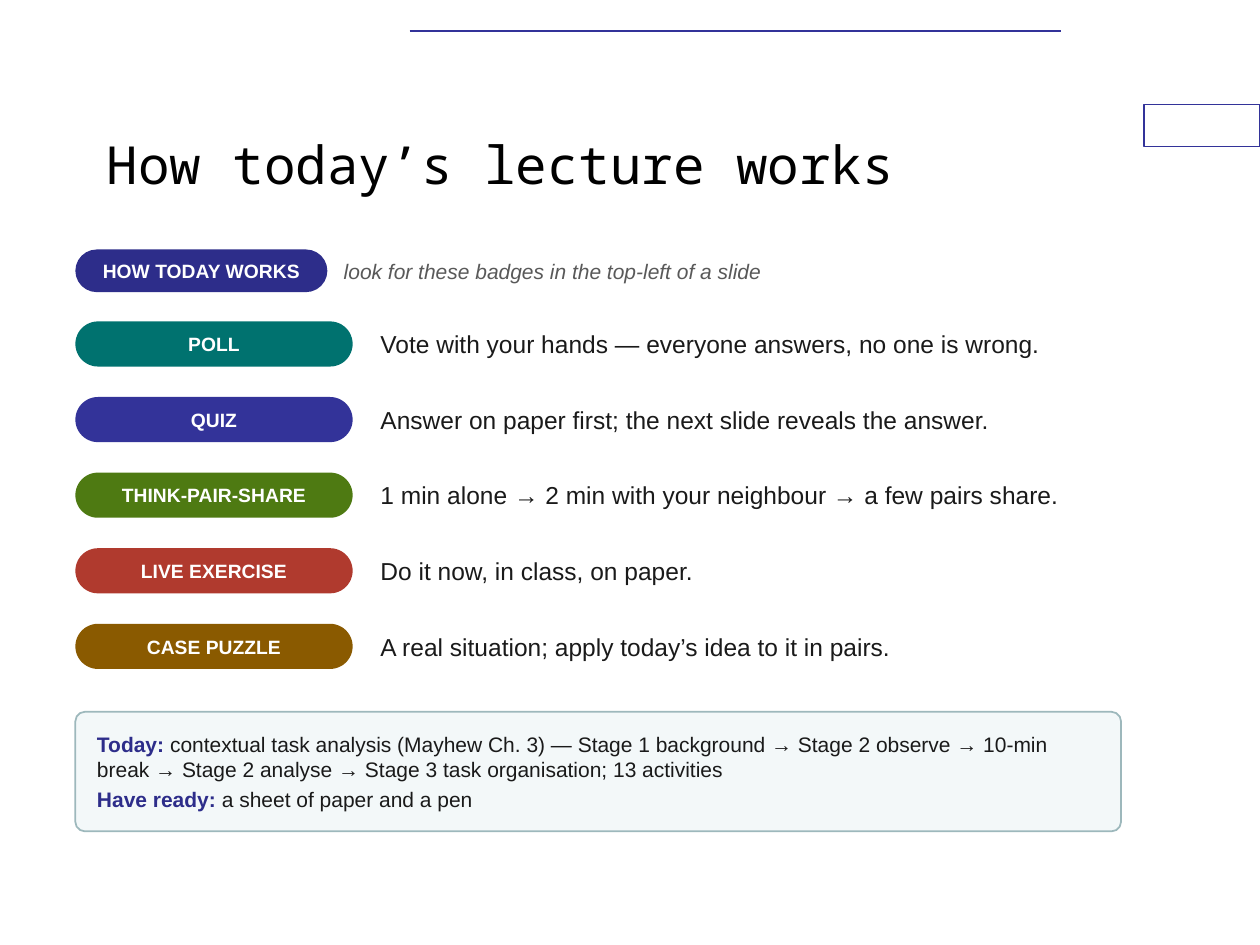
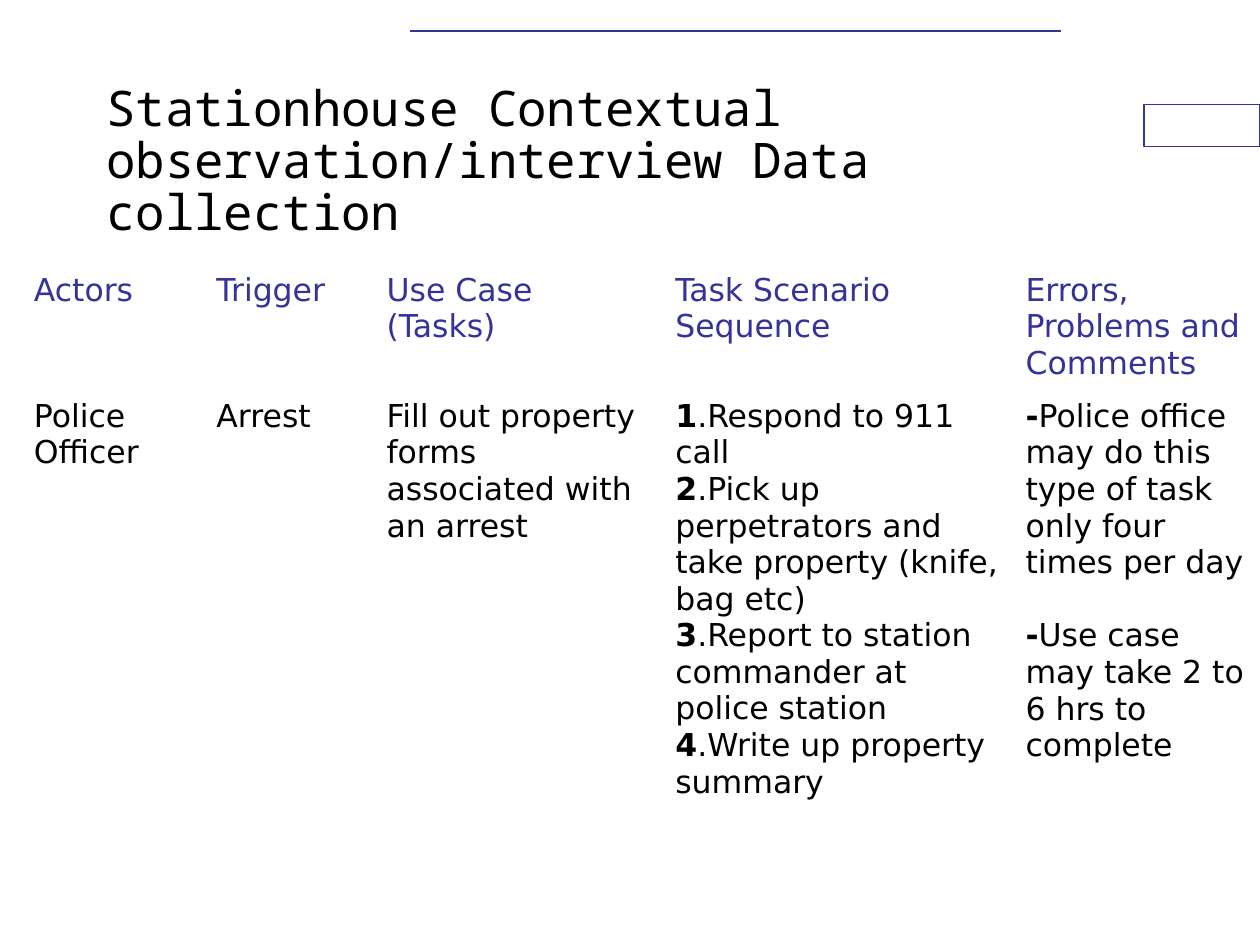
from lxml import etree
from pptx import Presentation
from pptx.dml.color import RGBColor
from pptx.enum import shapes, text
from pptx.oxml import ns
from pptx.util import Cm, Pt

WHITE = RGBColor(0xFF, 0xFF, 0xFF)
BLACK = RGBColor(0x00, 0x00, 0x00)
BLUE = RGBColor(0x33, 0x33, 0x99)
NAVY = RGBColor(0x2D, 0x2D, 0x8A)
TEAL = RGBColor(0x00, 0x72, 0x6F)
GREEN = RGBColor(0x4E, 0x7A, 0x12)
RED = RGBColor(0xB0, 0x3A, 0x2E)
BROWN = RGBColor(0x8A, 0x5A, 0x00)
GREY = RGBColor(0x59, 0x59, 0x59)
INK = RGBColor(0x1A, 0x1A, 0x1A)
PANEL = RGBColor(0xF3, 0xF8, 0xF9)
PANEL_EDGE = RGBColor(0x9D, 0xB8, 0xBC)

SANS, MONO, TABLE_FONT = "Arial", "Noto Sans Mono", "DejaVu Sans"

ACTIVITIES = [
    ("POLL", TEAL, "Vote with your hands — everyone answers, no one is wrong."),
    ("QUIZ", BLUE, "Answer on paper first; the next slide reveals the answer."),
    ("THINK-PAIR-SHARE", GREEN,
     "1 min alone → 2 min with your neighbour → a few pairs share."),
    ("LIVE EXERCISE", RED, "Do it now, in class, on paper."),
    ("CASE PUZZLE", BROWN, "A real situation; apply today’s idea to it in pairs."),
]

AGENDA = [
    ("Today: ", "contextual task analysis (Mayhew Ch. 3) — Stage 1 background → "
     "Stage 2 observe → 10-min break → Stage 2 analyse → "
     "Stage 3 task organisation; 13 activities"),
    ("Have ready: ", "a sheet of paper and a pen"),
]

HEADERS = ["Actors", "Trigger", "Use Case (Tasks)", "Task Scenario Sequence",
           "Errors, Problems and Comments"]
OBSERVATION = [
    [("", "Police Officer")],
    [("", "Arrest")],
    [("", "Fill out property forms associated with an arrest")],
    [("1", ".Respond to 911 call"),
     ("2", ".Pick up perpetrators and take property (knife, bag etc)"),
     ("3", ".Report to station commander at police station"),
     ("4", ".Write up property summary")],
    [("-", "Police office may do this type of task only four times per day"),
     ("-", "Use case may take 2 to 6 hrs to complete")],
]


def write(tf, paras, size=12, font=SANS, color=INK, lead=None, bold=False,
          italic=False, align=None, before=0, spacing=None):
    """Write a string, or a list of (bold lead, body) paragraphs, in one format."""
    if isinstance(paras, str):
        paras = [("", paras)]
    for i, parts in enumerate(paras):
        p = tf.add_paragraph() if i else tf.paragraphs[0]
        p.alignment, p.line_spacing = align, spacing
        if i:
            p.space_before = Pt(before)
        for part, is_lead in zip(parts, (True, False)):
            if part:
                r = p.add_run()
                r.text = part
                r.font.size, r.font.name = Pt(size), font
                r.font.bold, r.font.italic = bold or is_lead, italic
                r.font.color.rgb = lead if is_lead and lead else color


def frame(sp, inset):
    """Wrap and vertically centre the text of a shape, with equal insets."""
    tf = sp.text_frame
    tf.word_wrap = True
    tf.vertical_anchor = text.MSO_ANCHOR.MIDDLE
    tf.margin_left = tf.margin_right = tf.margin_top = tf.margin_bottom = Cm(inset)
    return tf


def add_text(s, box, content, inset=0.05, **fmt):
    """Add a text box."""
    sp = s.shapes.add_textbox(*map(Cm, box))
    write(frame(sp, inset), content, **fmt)


def add_box(s, box, fill, line=None, width=1, radius=None):
    """Add a filled rectangle, rounded when a radius is given."""
    kind = shapes.MSO_SHAPE.RECTANGLE if radius is None else shapes.MSO_SHAPE.ROUNDED_RECTANGLE
    sp = s.shapes.add_shape(kind, *map(Cm, box))
    sp.shadow.inherit = False
    if radius is not None:
        sp.adjustments[0] = radius
    sp.fill.solid()
    sp.fill.fore_color.rgb = fill
    if line is None:
        sp.line.fill.background()
    else:
        sp.line.color.rgb = line
        sp.line.width = Pt(width)
    return sp


def add_badge(s, box, label, fill):
    """Add a pill-shaped badge."""
    sp = add_box(s, box, fill, radius=0.5)
    write(frame(sp, 0.08), label, size=11, color=WHITE, bold=True,
          align=text.PP_ALIGN.CENTER)


def add_base(prs, title, size, spacing=None):
    """Add a slide with the shared rule, side tab and title."""
    s = prs.slides.add_slide(prs.slide_layouts[6])
    add_box(s, (23.06, 2.11, 2.34, 0.85), WHITE, BLUE, 0.75)
    rule = s.shapes.add_connector(shapes.MSO_CONNECTOR.STRAIGHT,
                                  Cm(8.26), Cm(0.63), Cm(21.38), Cm(0.63))
    rule.line.color.rgb = BLUE
    rule.line.width = Pt(1)
    etree.SubElement(rule.element.spPr, ns.qn("a:effectLst"))
    add_text(s, (1.9, 1.7, 19.05, 3.18), title, inset=0.25, size=size,
             font=MONO, color=BLACK, spacing=spacing)
    return s


def add_legend(s, x, y, w):
    """Add the badge heading and one row for each activity."""
    add_badge(s, (x, y, 5.08, 0.86), "HOW TODAY WORKS", NAVY)
    add_text(s, (x + 5.36, y, w - 5.36, 0.86),
             "look for these badges in the top-left of a slide",
             color=GREY, italic=True)
    for i, (label, fill, note) in enumerate(ACTIVITIES):
        top = y + 1.27 + 1.524 * i
        add_badge(s, (x, top + 0.18, 5.59, 0.91), label, fill)
        add_text(s, (x + 6.1, top, w - 6.1, 1.27), note, size=14)


def add_agenda(s, box):
    """Add the panel with today's plan."""
    sp = add_box(s, box, PANEL, PANEL_EDGE, radius=0.08)
    write(frame(sp, 0.38), AGENDA, lead=NAVY, before=3,
          align=text.PP_ALIGN.LEFT)


def add_observations(s, x, y, widths, heights):
    """Add the plain table of observed tasks."""
    shape = s.shapes.add_table(2, len(widths), Cm(x), Cm(y),
                               Cm(sum(widths)), Cm(sum(heights)))
    table = shape.table
    table.first_row = table.horz_banding = False
    for row, h in zip(table.rows, heights):
        row.height = Cm(h)
    for i, w in enumerate(widths):
        table.columns[i].width = Cm(w)
        gap = 21 if i == len(widths) - 1 else 0
        for row, (content, color) in enumerate([(HEADERS[i], BLUE),
                                                (OBSERVATION[i], BLACK)]):
            cell = table.cell(row, i)
            cell.fill.background()
            write(cell.text_frame, content, size=18, font=TABLE_FONT,
                  color=color, before=gap)


def main():
    """Build the two slides."""
    prs = Presentation()
    prs.slide_width, prs.slide_height = Cm(25.4), Cm(19.05)

    s = add_base(prs, "How today’s lecture works", 30)
    add_legend(s, 1.52, 5.03, 21.08)
    add_agenda(s, (1.52, 14.35, 21.08, 2.41))

    s = add_base(prs, "Stationhouse Contextual observation/interview Data collection",
                 28, spacing=0.88)
    add_observations(s, 0.43, 5.36, [3.68, 3.43, 5.82, 7.06, 4.93], [2.54, 10.59])

    prs.save("out.pptx")


if __name__ == "__main__":
    main()
